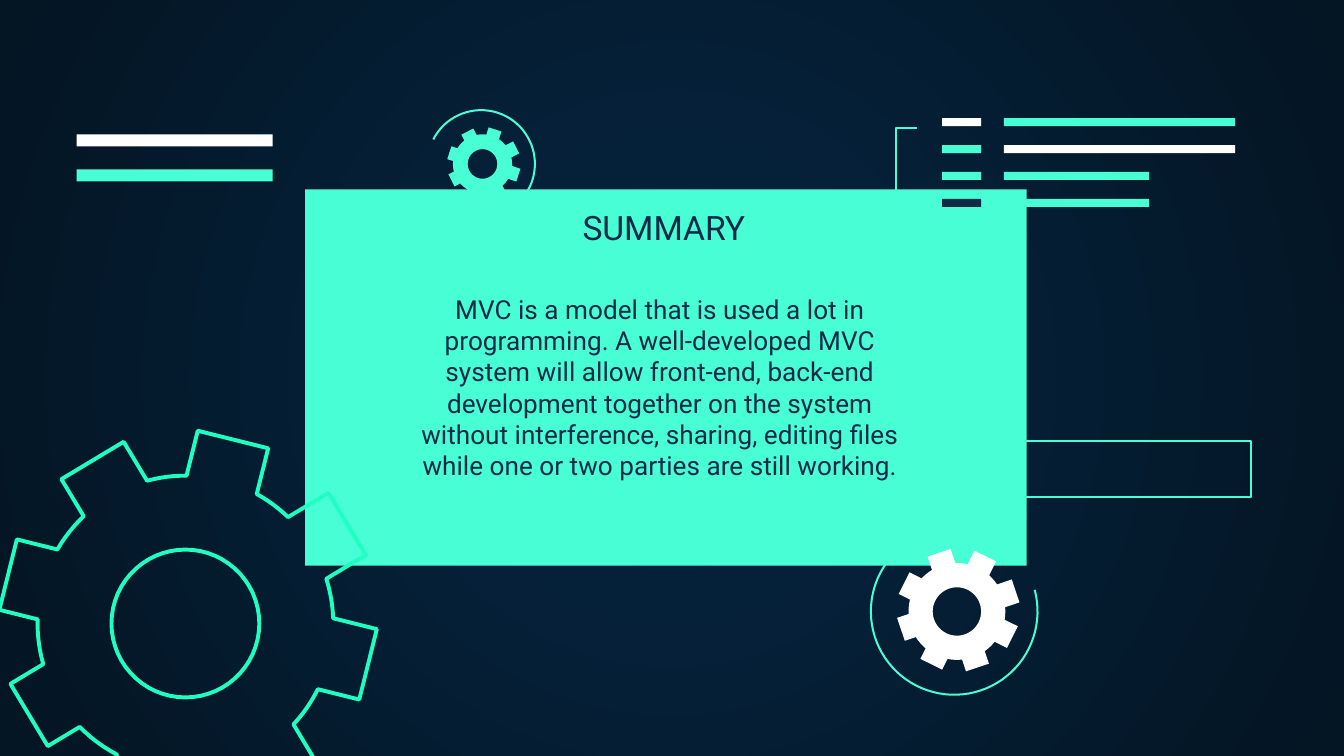
from math import cos, hypot, radians, sin, sqrt

from lxml import etree
from pptx import Presentation
from pptx.dml.color import RGBColor
from pptx.enum import shapes, text
from pptx.oxml import ns
from pptx.util import Inches, Pt

MINT, BRIGHT, WHITE, NAVY = "48FFD5", "1EFFC1", "FFFFFF", "0E2A47"
FONT = "Roboto"
THIN = 1.09


def color(value):
    return RGBColor.from_string(value)


def style(sp, fill=None, line=None, width=THIN):
    sp.shadow.inherit = False
    if fill:
        sp.fill.solid()
        sp.fill.fore_color.rgb = color(fill)
    else:
        sp.fill.background()
    if line:
        sp.line.color.rgb = color(line)
        sp.line.width = Pt(width)
    else:
        sp.line.fill.background()


def add_background(s, inner, outer):
    fill = s.background.fill
    fill.gradient()
    for stop, value in zip(fill.gradient_stops, (inner, outer)):
        stop.color.rgb = color(value)
    # Swap the linear gradient for a circular one
    lin = s.element.find(".//" + ns.qn("a:lin"))
    grad = lin.getparent()
    grad.remove(lin)
    circle = etree.SubElement(grad, ns.qn("a:path"), {"path": "circle"})
    sides = {side: "50000" for side in "ltrb"}
    etree.SubElement(circle, ns.qn("a:fillToRect"), sides)


def add_rect(s, x, y, w, h, **look):
    sp = s.shapes.add_shape(shapes.MSO_SHAPE.RECTANGLE,
                            Inches(x), Inches(y), Inches(w), Inches(h))
    style(sp, **look)


def add_outline(s, contours, close=True, **look):
    first, *others = [[(Inches(x), Inches(y)) for x, y in points]
                      for points in contours]
    builder = s.shapes.build_freeform(*first[0])
    builder.add_line_segments(first[1:], close=close)
    for points in others:
        builder.move_to(*points[0])
        builder.add_line_segments(points[1:], close=close)
    style(builder.convert_to_shape(), **look)


def arc_points(center, radius, start, end, steps=60):
    cx, cy = center
    angles = [radians(start + (end - start) * i / steps) for i in range(steps + 1)]
    return [(cx + radius * cos(a), cy + radius * sin(a)) for a in angles]


def gear_rim(hub, middle, tip, half, body, first, teeth=8):
    """Teeth radiate from middle with parallel sides; the body is round about hub."""
    mx, my = middle
    dx, dy = hub[0] - mx, hub[1] - my
    tooth_ends = []
    for i in range(teeth):
        a = radians(first + 360 / teeth * i)
        c, n = cos(a), sin(a)
        along, across = dx * c + dy * n, dy * c - dx * n
        corners = []
        for side in (-half, half):
            root = along + sqrt(body ** 2 - (side - across) ** 2)
            corners.append([(mx + d * c - side * n, my + d * n + side * c)
                            for d in (root, tip)])
        (root_1, tip_1), (root_2, tip_2) = corners
        tooth_ends.append([root_1, tip_1, tip_2, root_2])
    rim = []
    for i, tooth in enumerate(tooth_ends):
        rim += tooth
        # Curve of the body between this tooth and the next
        x1, y1 = tooth[-1]
        x2, y2 = tooth_ends[(i + 1) % teeth][0]
        for k in range(1, 6):
            vx = x1 + (x2 - x1) * k / 6 - hub[0]
            vy = y1 + (y2 - y1) * k / 6 - hub[1]
            scale = body / hypot(vx, vy)
            rim.append((hub[0] + vx * scale, hub[1] + vy * scale))
    return rim


def add_gear(s, hub, middle, tip, half, body, hole, first, **look):
    rim = gear_rim(hub, middle, tip, half, body, first)
    add_outline(s, [rim, arc_points(hub, hole, 360, 0)[:-1]], **look)


def add_text(s, x, y, w, h, content, size, anchor):
    tf = s.shapes.add_textbox(Inches(x), Inches(y), Inches(w), Inches(h)).text_frame
    tf.word_wrap = True
    tf.vertical_anchor = anchor
    tf.margin_left = tf.margin_right = Inches(0.1)
    tf.margin_top = tf.margin_bottom = Inches(0.1)
    p = tf.paragraphs[0]
    p.alignment = text.PP_ALIGN.CENTER
    r = p.add_run()
    r.text = content
    r.font.size = Pt(size)
    r.font.name = FONT
    r.font.color.rgb = color(NAVY)


def main():
    prs = Presentation()
    # 16:9 page
    prs.slide_width = Inches(10)
    prs.slide_height = Inches(10 * 9 / 16)
    s = prs.slides.add_slide(prs.slide_layouts[6])
    add_background(s, "052643", "041523")

    # Summary panel
    add_rect(s, 2.27, 1.41, 5.37, 2.8, fill=MINT)

    # Open rings around the two solid gears
    add_outline(s, [arc_points((3.58, 1.22), 0.4, 207, 455)], close=False, line=MINT)
    add_outline(s, [arc_points((7.1, 4.55), 0.62, -15, 233)], close=False, line=MINT)

    # Gears: large outline, white, small mint
    add_gear(s, (1.38, 4.64), (1.4, 4.61), 1.38, 0.27, 1.1, 0.55, 14,
             line=BRIGHT, width=2.1)
    add_gear(s, (7.12, 4.55), (7.13, 4.54), 0.45, 0.09, 0.36, 0.18, 26.5, fill=WHITE)
    add_gear(s, (3.59, 1.22), (3.6, 1.22), 0.27, 0.05, 0.22, 0.11, 18, fill=MINT)

    # Code lines at top right: short mark and long bar in each row
    rows = [(WHITE, MINT, 1.72), (MINT, WHITE, 1.72),
            (MINT, MINT, 1.08), (NAVY, MINT, 1.08)]
    for i, (mark, bar, length) in enumerate(rows):
        y = 0.88 + 0.2 * i
        add_rect(s, 7.01, y, 0.29, 0.06, fill=mark)
        add_rect(s, 7.47, y, length, 0.06, fill=bar)

    # Bracket beside the code lines
    add_outline(s, [[(6.83, 1.56), (6.67, 1.56), (6.67, 0.95), (6.82, 0.95)]],
                close=False, line=MINT)

    # Double bar at top left
    for y, bar in ((1, WHITE), (1.26, MINT)):
        add_rect(s, 0.57, y, 1.46, 0.09, fill=bar)

    # Empty frame at right
    add_rect(s, 7.2, 3.28, 2.11, 0.42, line=MINT)

    # Title and body
    add_text(s, 3.01, 1.65, 3.86, 0.29, "SUMMARY", 18, text.MSO_ANCHOR.BOTTOM)
    add_text(s, 3.02, 2.08, 3.78, 1.97,
             "MVC is a model that is used a lot in programming. A well-developed "
             "MVC system will allow front-end, back-end development together on "
             "the system without interference, sharing, editing files while one "
             "or two parties are still working.", 14, text.MSO_ANCHOR.TOP)

    prs.save("out.pptx")


if __name__ == "__main__":
    main()
